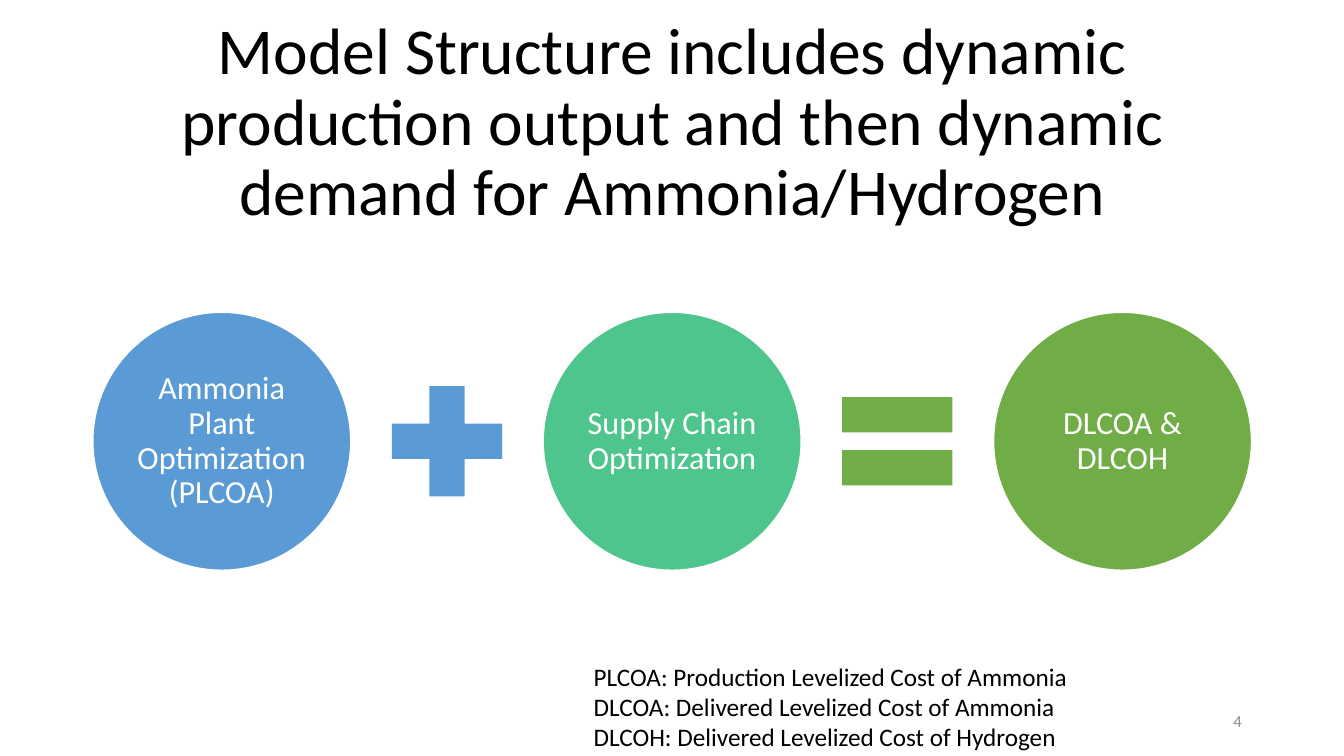
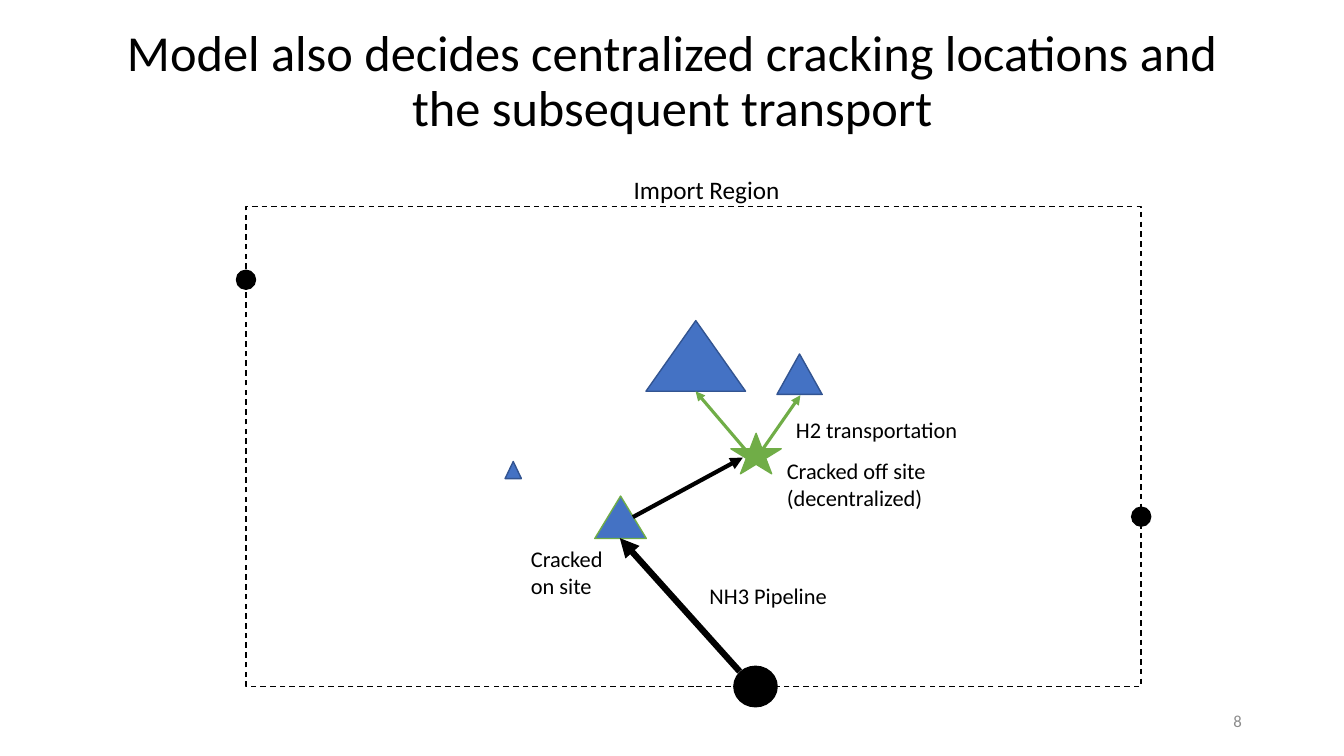
from lxml.etree import SubElement
from pptx import Presentation
from pptx.dml.color import RGBColor
from pptx.enum.dml import MSO_LINE
from pptx.enum.shapes import MSO_CONNECTOR, MSO_SHAPE
from pptx.enum.text import MSO_ANCHOR, MSO_AUTO_SIZE, PP_ALIGN
from pptx.oxml.ns import qn
from pptx.util import Cm, Pt

FONT = "Calibri"
BLACK = RGBColor(0x00, 0x00, 0x00)
WHITE = RGBColor(0xFF, 0xFF, 0xFF)
GREY = RGBColor(0x8C, 0x8C, 0x8C)
LIGHT_BLUE = RGBColor(0x5B, 0x9B, 0xD5)
BLUE = RGBColor(0x44, 0x72, 0xC4)
DARK_BLUE = RGBColor(0x32, 0x54, 0x91)
TEAL = RGBColor(0x4D, 0xC5, 0x8D)
GREEN = RGBColor(0x70, 0xAD, 0x47)

MARGIN = 2.34
CONTENT_WIDTH = 29.21


def write_text(frame, lines, size, color=BLACK, align=PP_ALIGN.LEFT, spacing=None):
    for index, line in enumerate(lines):
        paragraph = frame.paragraphs[0] if index == 0 else frame.add_paragraph()
        paragraph.text = line
        paragraph.alignment = align
        paragraph.line_spacing = spacing
        paragraph.font.name = FONT
        paragraph.font.size = Pt(size)
        paragraph.font.color.rgb = color


def add_label(slide, box, lines, size, wrap=True, **text_style):
    frame = slide.shapes.add_textbox(*map(Cm, box)).text_frame
    frame.word_wrap = wrap
    write_text(frame, lines, size, **text_style)
    return frame


def add_titled_slide(presentation, title, size, top, number):
    slide = presentation.slides.add_slide(presentation.slide_layouts[5])
    placeholder = slide.shapes.title
    placeholder.left, placeholder.top = Cm(MARGIN), Cm(top)
    placeholder.width, placeholder.height = Cm(CONTENT_WIDTH), Cm(3.15)
    frame = placeholder.text_frame
    frame.auto_size = MSO_AUTO_SIZE.NONE
    frame.vertical_anchor = MSO_ANCHOR.MIDDLE
    write_text(frame, [title], size, align=PP_ALIGN.CENTER, spacing=0.9)

    number_frame = add_label(slide, (23.93, 17.65, 7.62, 1.02), [str(number)], 12,
                             color=GREY, align=PP_ALIGN.RIGHT)
    number_frame.vertical_anchor = MSO_ANCHOR.MIDDLE
    return slide


def add_figure(slide, kind, box, fill=None, line=None):
    """Add a preset shape; a missing fill or line colour leaves that part out."""
    shape = slide.shapes.add_shape(kind, *map(Cm, box))
    shape.shadow.inherit = False
    if fill is None:
        shape.fill.background()
    else:
        shape.fill.solid()
        shape.fill.fore_color.rgb = fill
    if line is None:
        shape.line.fill.background()
    else:
        shape.line.color.rgb = line
        shape.line.width = Pt(1)
    return shape


def add_port(slide, center_x, center_y, width, height):
    box = (center_x - width / 2, center_y - height / 2, width, height)
    add_figure(slide, MSO_SHAPE.OVAL, box, BLACK, BLACK)


def add_arrow(slide, start, end, color, width):
    arrow = slide.shapes.add_connector(MSO_CONNECTOR.STRAIGHT, *map(Cm, start + end))
    arrow.line.color.rgb = color
    arrow.line.width = Pt(width)
    SubElement(arrow.line._get_or_add_ln(), qn("a:tailEnd"), type="triangle")
    SubElement(arrow._element.spPr, qn("a:effectLst"))


def add_equation(slide):
    """Place circles at an equal pitch with an operator centred in each gap."""
    diameter, pitch, operator_size, top = 6.5, 11.35, 3.78, 7.87
    circles = [
        ("Ammonia Plant Optimization (PLCOA)", LIGHT_BLUE),
        ("Supply Chain Optimization", TEAL),
        ("DLCOA & DLCOH", GREEN),
    ]
    for index, (text, color) in enumerate(circles):
        box = (MARGIN + index * pitch, top, diameter, diameter)
        circle = add_figure(slide, MSO_SHAPE.OVAL, box, color, WHITE)
        frame = circle.text_frame
        frame.word_wrap = True
        frame.vertical_anchor = MSO_ANCHOR.MIDDLE
        frame.margin_left = frame.margin_right = Cm(0.08)
        frame.margin_top = frame.margin_bottom = Cm(0.08)
        write_text(frame, [text], 23, WHITE, PP_ALIGN.CENTER, 0.9)

    operators = [(MSO_SHAPE.MATH_PLUS, LIGHT_BLUE), (MSO_SHAPE.MATH_EQUAL, GREEN)]
    operator_left = MARGIN + (diameter + pitch - operator_size) / 2
    operator_top = top + (diameter - operator_size) / 2
    for index, (kind, color) in enumerate(operators):
        box = (operator_left + index * pitch, operator_top, operator_size, operator_size)
        add_figure(slide, kind, box, color)


def build_structure_slide(presentation):
    slide = add_titled_slide(
        presentation,
        "Model Structure includes dynamic production output and then dynamic "
        "demand for Ammonia/Hydrogen",
        46.8, 1.55, 4)
    add_equation(slide)
    add_label(slide, (14.71, 16.54, 12.55, 3.33), [
        "PLCOA: Production Levelized Cost of Ammonia",
        "DLCOA: Delivered Levelized Cost of Ammonia",
        "DLCOH: Delivered Levelized Cost of Hydrogen",
    ], 18, wrap=False)


def build_cracking_slide(presentation):
    slide = add_titled_slide(
        presentation,
        "Model also decides centralized cracking locations and the subsequent transport",
        36, 0.51, 8)

    left, top, width, height = region_box = (6.2, 5.21, 22.56, 12.09)
    region = add_figure(slide, MSO_SHAPE.RECTANGLE, region_box, line=BLACK)
    region.line.dash_style = MSO_LINE.DASH
    add_port(slide, left, 7.05, 0.48, 0.48)
    add_port(slide, left + width, 13.02, 0.48, 0.48)
    add_label(slide, (15.72, 4.27, 4.22, 1.02), ["Import Region"], 18, wrap=False)

    demand_sites = [
        ((12.73, 11.63, 0.41, 0.43), DARK_BLUE),
        ((19.58, 8.92, 1.14, 1.02), DARK_BLUE),
        ((16.28, 8.08, 2.51, 1.78), DARK_BLUE),
        ((14.99, 12.5, 1.3, 1.07), GREEN),
    ]
    for box, outline in demand_sites:
        add_figure(slide, MSO_SHAPE.ISOSCELES_TRIANGLE, box, BLUE, outline)

    add_arrow(slide, (18.64, 16.92), (15.62, 13.56), BLACK, 4.5)
    add_arrow(slide, (15.95, 13.03), (18.72, 11.53), BLACK, 3)
    add_figure(slide, MSO_SHAPE.STAR_5_POINT, (18.42, 10.92, 1.27, 1.02), GREEN, GREEN)
    add_arrow(slide, (18.8, 11.35), (17.53, 9.86), GREEN, 2.25)
    add_arrow(slide, (19.2, 11.35), (20.17, 9.96), GREEN, 2.25)
    add_port(slide, 19.04, top + height, 1.09, 1.02)

    labels = [
        ("Cracked on site", (13.13, 13.61, 3.02, 1.63)),
        ("NH3 Pipeline", (17.63, 14.55, 3.53, 0.94)),
        ("Cracked off site (decentralized)", (19.58, 11.4, 4.45, 1.63)),
        ("H2 transportation", (19.81, 10.36, 5.41, 0.94)),
    ]
    for text, box in labels:
        add_label(slide, box, [text], 16)


def main():
    presentation = Presentation()
    presentation.slide_width, presentation.slide_height = Cm(33.87), Cm(19.05)
    build_structure_slide(presentation)
    build_cracking_slide(presentation)
    presentation.save("out.pptx")


if __name__ == "__main__":
    main()
